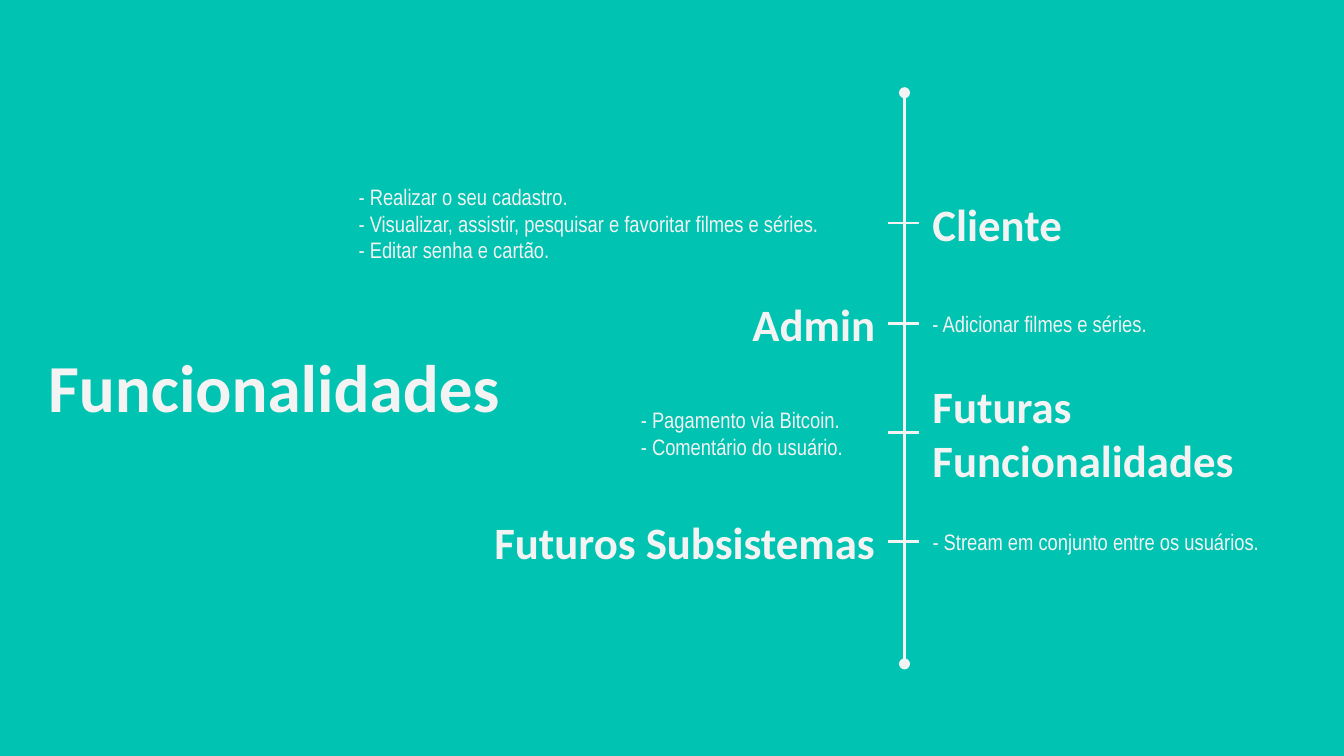
from lxml import etree
from pptx import Presentation
from pptx.dml.color import RGBColor
from pptx.enum.shapes import MSO_CONNECTOR
from pptx.enum.text import MSO_ANCHOR, PP_ALIGN
from pptx.oxml.ns import qn
from pptx.util import Inches, Pt

STRAIGHT = MSO_CONNECTOR.STRAIGHT
TOP, MIDDLE = MSO_ANCHOR.TOP, MSO_ANCHOR.MIDDLE
LEFT, RIGHT, JUSTIFY = PP_ALIGN.LEFT, PP_ALIGN.RIGHT, PP_ALIGN.JUSTIFY

TEAL = RGBColor(0x00, 0xC3, 0xB1)
OFF_WHITE = RGBColor(0xF3, 0xF3, 0xF3)

HEADING = ("Calibri", 24, True)
DETAIL = ("Arial Narrow", 12, False)

SLIDE_WIDTH = 10
SLIDE_HEIGHT = SLIDE_WIDTH * 9 / 16
AXIS_X = 6.73
LEFT_EDGE = 6.61
RIGHT_EDGE = 6.84

ROWS = [
    (1.66,
     (4.04, 0.81, LEFT, DETAIL,
      ["- Realizar o seu cadastro.",
       "- Visualizar, assistir, pesquisar e favoritar filmes e séries.",
       "- Editar senha e cartão."]),
     (2.26, 0.6, LEFT, HEADING, ["Cliente"])),
    (2.41,
     (2.26, 0.69, RIGHT, HEADING, ["Admin"]),
     (2.26, 0.4, LEFT, DETAIL, ["- Adicionar filmes e séries."])),
    (3.22,
     (1.94, 0.69, JUSTIFY, DETAIL,
      ["- Pagamento via Bitcoin.", "- Comentário do usuário."]),
     (2.5, 0.69, LEFT, HEADING, ["Futuras Funcionalidades"])),
    (4.03,
     (3.13, 0.69, RIGHT, HEADING, ["Futuros Subsistemas"]),
     (2.68, 0.69, LEFT, DETAIL, ["- Stream em conjunto entre os usuários."])),
]


def format_text(sp, lines, style, align, anchor):
    font_name, size, bold = style
    tf = sp.text_frame
    tf.word_wrap = True
    tf.vertical_anchor = anchor
    tf.margin_left = tf.margin_right = Inches(0.1)
    tf.margin_top = tf.margin_bottom = Inches(0.1)
    tf.text = "\n".join(lines)
    for p in tf.paragraphs:
        p.alignment = align
        for r in p.runs:
            r.font.name = font_name
            r.font.size = Pt(size)
            r.font.bold = bold
            r.font.color.rgb = OFF_WHITE


def set_title(s, text):
    title = s.shapes.title
    title.left, title.top = Inches(0.25), Inches(2.47)
    title.width, title.height = Inches(3.57), Inches(0.69)
    format_text(title, [text], ("Calibri", 36, True), RIGHT, TOP)


def add_text(s, x, center_y, width, height, align, style, lines):
    sp = s.shapes.add_textbox(Inches(x), Inches(center_y - height / 2),
                              Inches(width), Inches(height))
    format_text(sp, lines, style, align, MIDDLE)
    return sp


def add_line(s, x1, y1, x2, y2):
    line = s.shapes.add_connector(STRAIGHT, Inches(x1), Inches(y1),
                                  Inches(x2), Inches(y2))
    line.line.color.rgb = OFF_WHITE
    line.line.width = Pt(1.5)
    etree.SubElement(line._element.spPr, qn("a:effectLst"))
    return line


def add_axis(s):
    axis = add_line(s, AXIS_X, 0.69, AXIS_X, 4.94)
    ln = axis.line._get_or_add_ln()
    for end in ("a:headEnd", "a:tailEnd"):
        etree.SubElement(ln, qn(end), type="oval")


def add_row(s, y, left_item, right_item):
    left_box = add_text(s, LEFT_EDGE - left_item[0], y, *left_item)
    right_box = add_text(s, RIGHT_EDGE, y, *right_item)
    tick = add_line(s, LEFT_EDGE, y, RIGHT_EDGE, y)
    tick.begin_connect(left_box, 3)
    tick.end_connect(right_box, 1)


def main():
    prs = Presentation()
    prs.slide_width, prs.slide_height = Inches(SLIDE_WIDTH), Inches(SLIDE_HEIGHT)
    s = prs.slides.add_slide(prs.slide_layouts[5])
    s.background.fill.solid()
    s.background.fill.fore_color.rgb = TEAL
    set_title(s, "Funcionalidades")
    add_axis(s)
    for row in ROWS:
        add_row(s, *row)
    prs.save("out.pptx")


if __name__ == "__main__":
    main()
